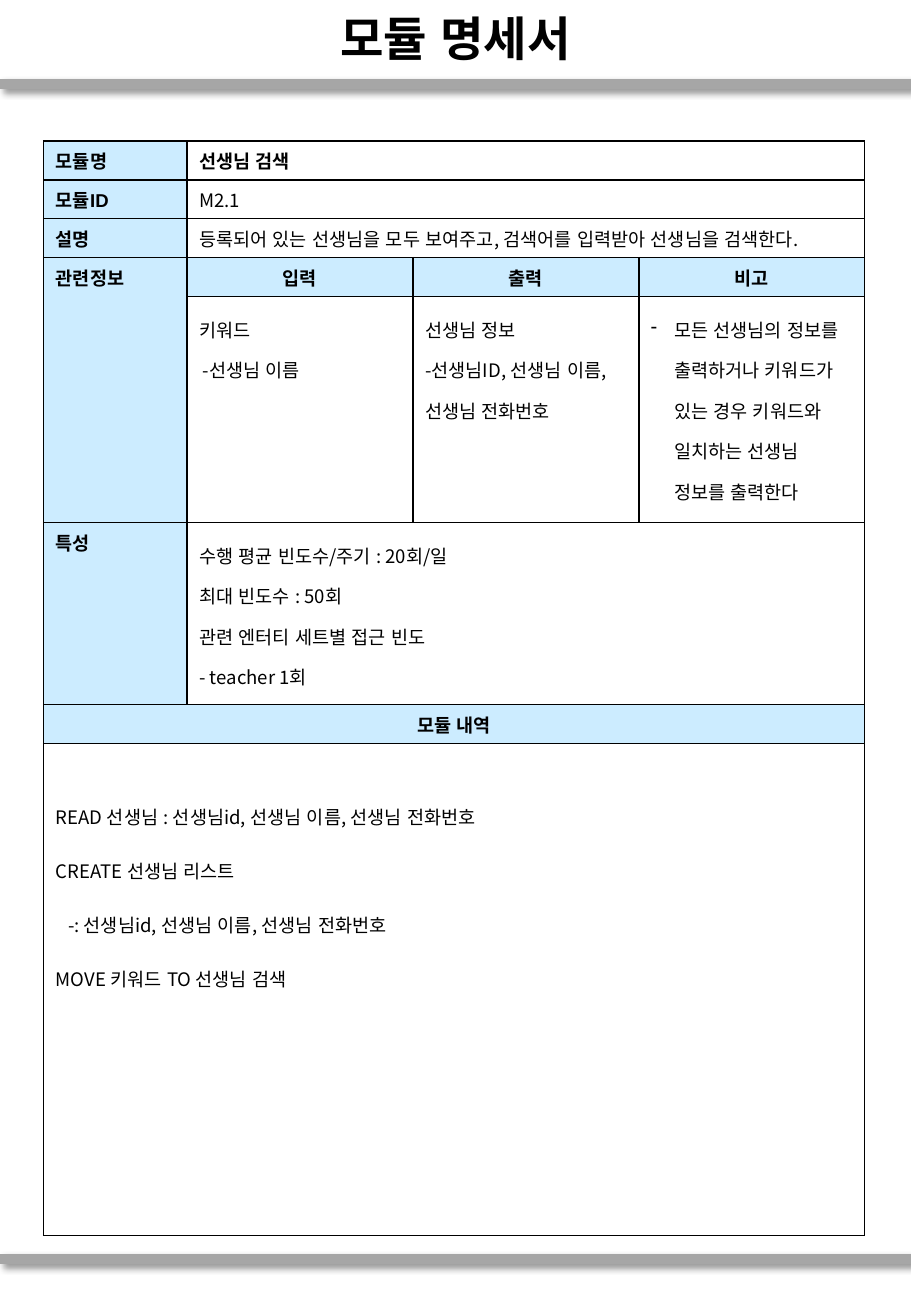
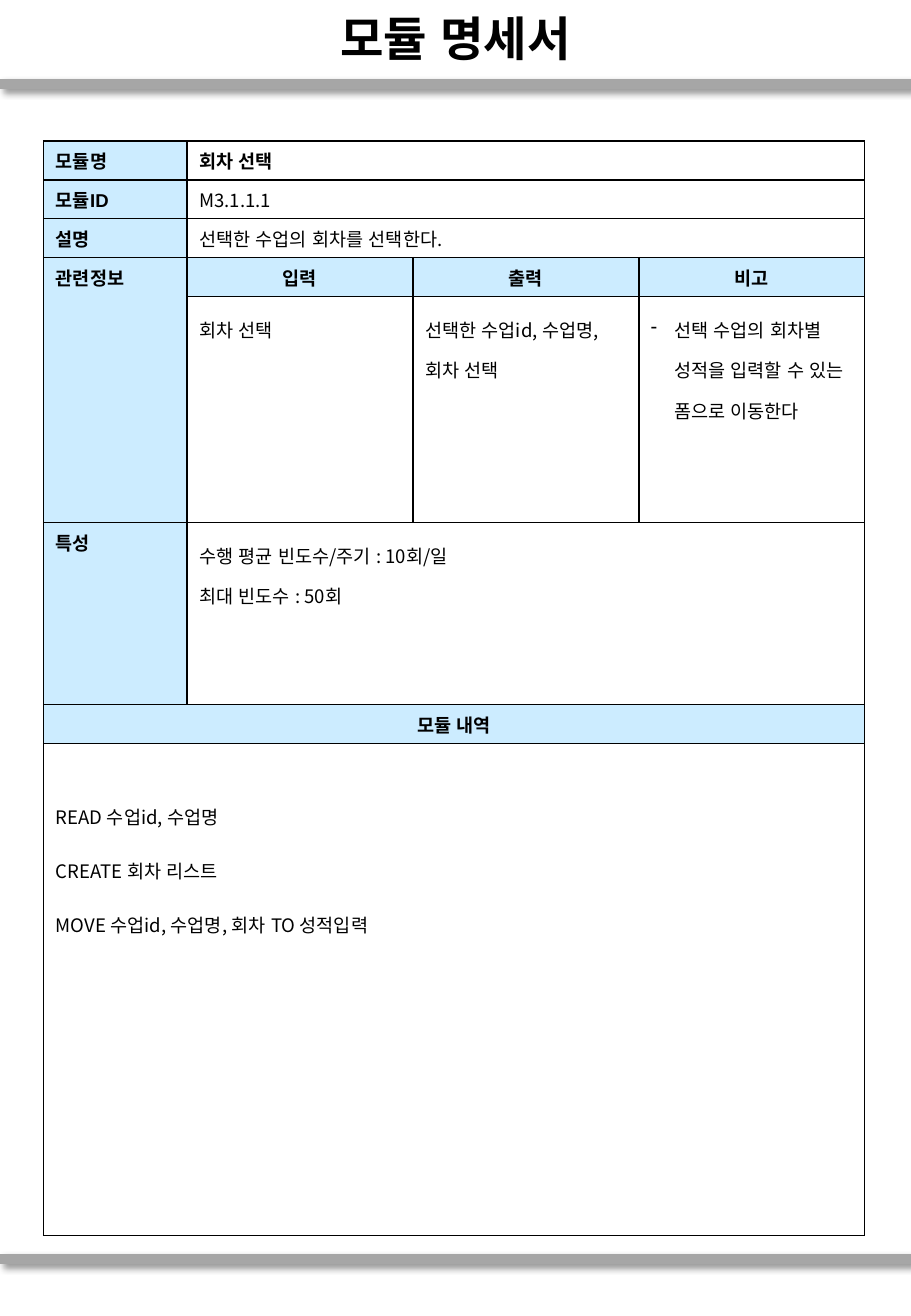
from lxml import etree
from pptx import Presentation
from pptx import util as u
from pptx.dml.color import RGBColor
from pptx.enum import lang, shapes, text
from pptx.oxml import ns, parse_xml

COLORS = {"ink": "000000", "paper": "FFFFFF", "label": "CCECFF", "band": "A6A6A6"}
KOREAN_FONT = "Noto Sans CJK KR"
LABEL = {"name": "Arial", "size": u.Pt(11), "bold": True}
NAME = {"name": KOREAN_FONT, "size": u.Pt(11), "bold": True}
BODY = {"name": KOREAN_FONT, "size": u.Pt(11), "bold": False}
TITLE = {"name": KOREAN_FONT, "size": u.Pt(28), "bold": True}
CENTER = {"alignment": text.PP_ALIGN.CENTER}

COLUMN_WIDTHS = [1.18, 1.86, 1.86, 1.86]
ROW_HEIGHTS = [0.32] * 4 + [1.86, 1.5, 0.32, 4.05]
# (first row, first column, last row, last column)
MERGES = [(row, 1, row, 3) for row in (0, 1, 2, 5)]
MERGES += [(row, 0, row, 3) for row in (6, 7)] + [(3, 0, 4, 0)]
LABELS = {(0, 0): "모듈명", (1, 0): "모듈ID", (2, 0): "설명", (3, 0): "관련정보", (5, 0): "특성"}
HEADINGS = {(3, 1): "입력", (3, 2): "출력", (3, 3): "비고", (6, 0): "모듈 내역"}

# A line is a string, or a pair of left indent in inches and string.
MODULES = [
    {
        "name": "선생님 검색",
        "id": "M2.1",
        "description": "등록되어 있는 선생님을 모두 보여주고, 검색어를 입력받아 선생님을 검색한다.",
        "input": ["키워드", (0.03, "-선생님 이름")],
        "output": ["선생님 정보", "-선생님ID, 선생님 이름, 선생님 전화번호"],
        "remark": "모든 선생님의 정보를 출력하거나 키워드가 있는 경우 키워드와 일치하는 선생님 정보를 출력한다",
        "traits": ["수행 평균 빈도수/주기 : 20회/일", "최대 빈도수 : 50회",
                   "관련 엔터티 세트별 접근 빈도", "- teacher 1회"],
        "steps": ["READ 선생님 : 선생님id, 선생님 이름, 선생님 전화번호", "CREATE 선생님 리스트",
                  (0.1, "-: 선생님id, 선생님 이름, 선생님 전화번호"), "MOVE 키워드 TO 선생님 검색"],
    },
    {
        "name": "회차 선택",
        "id": "M3.1.1.1",
        "description": "선택한 수업의 회차를 선택한다.",
        "input": ["회차 선택"],
        "output": ["선택한 수업id, 수업명, 회차 선택"],
        "remark": "선택 수업의 회차별 성적을 입력할 수 있는 폼으로 이동한다",
        "traits": ["수행 평균 빈도수/주기 : 10회/일", "최대 빈도수 : 50회"],
        "steps": ["READ 수업id, 수업명", "CREATE 회차 리스트", "MOVE 수업id, 수업명, 회차 TO 성적입력"],
    },
]


def set_attributes(target, values):
    for name, value in values.items():
        setattr(target, name, value)


class SpecSheet:
    """Holds the shared style and the slide being filled."""

    def __init__(self, presentation):
        self.presentation = presentation
        self.slide = None

    def add_slide(self):
        self.slide = self.presentation.slides.add_slide(self.presentation.slide_layouts[6])
        for y in (0.69, 10.36):
            self.band(y)
        self.title("모듈 명세서")

    def band(self, y):
        line = self.slide.shapes.add_connector(
            shapes.MSO_CONNECTOR.STRAIGHT, 0, u.Inches(y), u.Inches(7.5), u.Inches(y))
        line.line.width = u.Pt(6)
        line.line.color.rgb = RGBColor.from_string(COLORS["band"])
        line._element.spPr.append(parse_xml(
            f'<a:effectLst {ns.nsdecls("a")}>'
            f'<a:outerShdw blurRad="{u.Pt(4)}" dist="{u.Pt(3)}" dir="2700000" algn="tl">'
            f'<a:srgbClr val="{COLORS["ink"]}"><a:alpha val="40000"/></a:srgbClr>'
            '</a:outerShdw></a:effectLst>'))

    def title(self, words):
        box = self.slide.shapes.add_textbox(0, u.Inches(0.01), u.Inches(7.5), u.Inches(0.6))
        set_attributes(box.text_frame, {
            "word_wrap": True, "vertical_anchor": text.MSO_ANCHOR.MIDDLE})
        self.add_lines(box.text_frame, [words], TITLE, CENTER)

    def add_lines(self, frame, lines, font, layout=None, bullet=None):
        for index, line in enumerate(lines):
            indent, words = (0, line) if isinstance(line, str) else line
            paragraph = frame.paragraphs[0] if index == 0 else frame.add_paragraph()
            properties = paragraph._p.get_or_add_pPr()
            if indent:
                properties.set("marL", str(u.Inches(indent)))
            if bullet:
                properties.set("indent", str(-u.Inches(indent)))
                etree.SubElement(properties, ns.qn("a:buChar"), char=bullet)
            set_attributes(paragraph, layout or {})
            run = paragraph.add_run()
            run.text = words
            set_attributes(run.font, font)
            run.font.language_id = lang.MSO_LANGUAGE_ID.KOREAN
            run.font.color.rgb = RGBColor.from_string(COLORS["ink"])
            latin = run._r.rPr.find(ns.qn("a:latin"))
            latin.addnext(parse_xml(f'<a:ea {ns.nsdecls("a")} typeface="{KOREAN_FONT}"/>'))

    def outline(self, cell):
        """Gives a cell its four borders, which come before its fill."""
        properties = cell._tc.get_or_add_tcPr()
        for position, side in enumerate(("lnL", "lnR", "lnT", "lnB")):
            properties.insert(position, parse_xml(
                f'<a:{side} {ns.nsdecls("a")} w="{u.Pt(1)}"><a:solidFill>'
                f'<a:srgbClr val="{COLORS["ink"]}"/></a:solidFill></a:{side}>'))

    def grid(self):
        table = self.slide.shapes.add_table(
            len(ROW_HEIGHTS), len(COLUMN_WIDTHS), u.Inches(0.36), u.Inches(1.16),
            u.Inches(sum(COLUMN_WIDTHS)), u.Inches(sum(ROW_HEIGHTS))).table
        set_attributes(table, {"first_row": False, "horz_banding": False})
        for column, width in zip(table.columns, COLUMN_WIDTHS):
            column.width = u.Inches(width)
        for row, height in zip(table.rows, ROW_HEIGHTS):
            row.height = u.Inches(height)
        for top, left, bottom, right in MERGES:
            table.cell(top, left).merge(table.cell(bottom, right))
        for row in range(len(ROW_HEIGHTS)):
            for column in range(len(COLUMN_WIDTHS)):
                cell = table.cell(row, column)
                is_label = (row, column) in LABELS or (row, column) in HEADINGS
                cell.fill.solid()
                cell.fill.fore_color.rgb = RGBColor.from_string(
                    COLORS["label" if is_label else "paper"])
                self.outline(cell)
        return table

    def module_table(self, module):
        table = self.grid()
        for place, words in LABELS.items():
            self.add_lines(table.cell(*place).text_frame, [words], LABEL)
        for place, words in HEADINGS.items():
            self.add_lines(table.cell(*place).text_frame, [words], LABEL, CENTER)
        for row, (key, font) in enumerate((("name", NAME), ("id", BODY), ("description", BODY))):
            self.add_lines(table.cell(row, 1).text_frame, [module[key]], font)
        for place, key, spacing in (((4, 1), "input", 1.5), ((4, 2), "output", 1.5),
                                    ((5, 1), "traits", 1.5), ((7, 0), "steps", 2.0)):
            self.add_lines(table.cell(*place).text_frame, module[key], BODY,
                           {"line_spacing": spacing})
        table.cell(7, 0).margin_top = u.Inches(0.27)
        self.add_lines(table.cell(4, 3).text_frame, [(0.19, module["remark"])], BODY,
                       {"line_spacing": 1.5}, bullet="-")


def main():
    presentation = Presentation()
    set_attributes(presentation, {
        "slide_width": u.Inches(7.5), "slide_height": u.Inches(10.83)})
    sheet = SpecSheet(presentation)
    for module in MODULES:
        sheet.add_slide()
        sheet.module_table(module)
    presentation.save("out.pptx")


if __name__ == "__main__":
    main()
